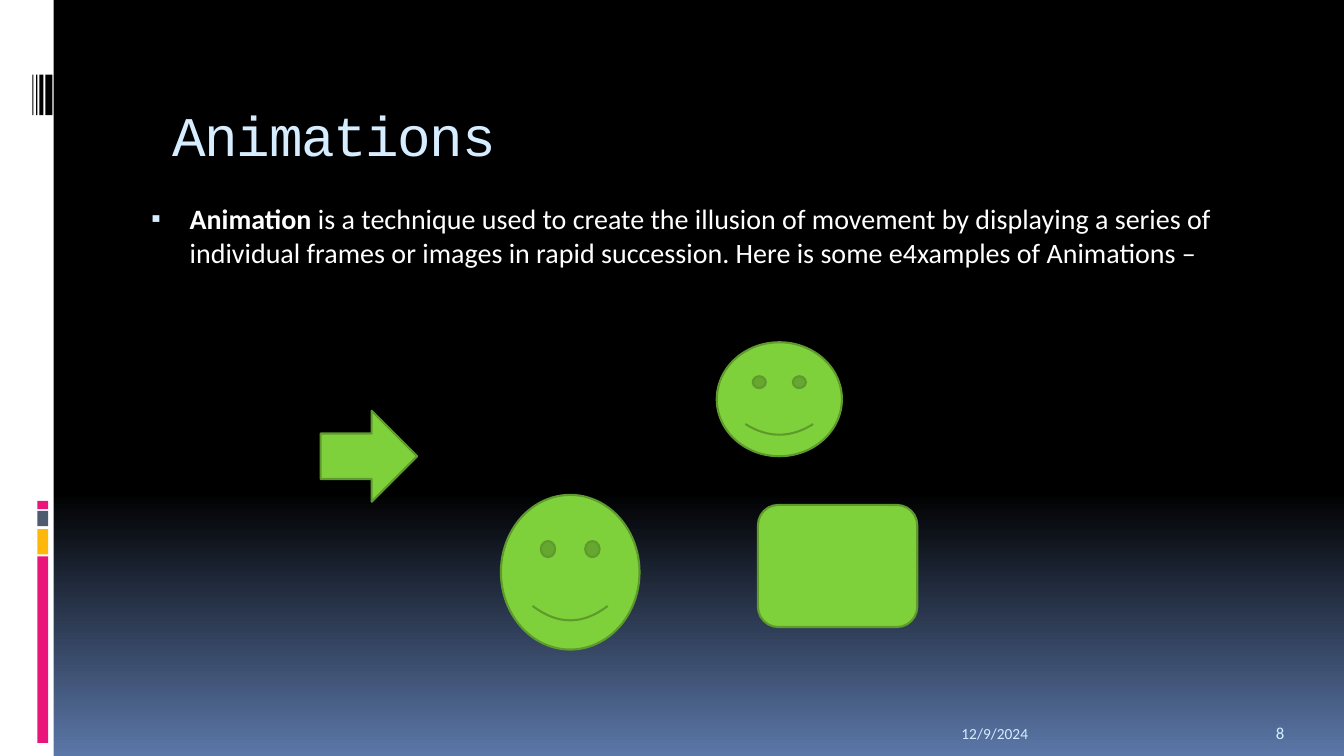
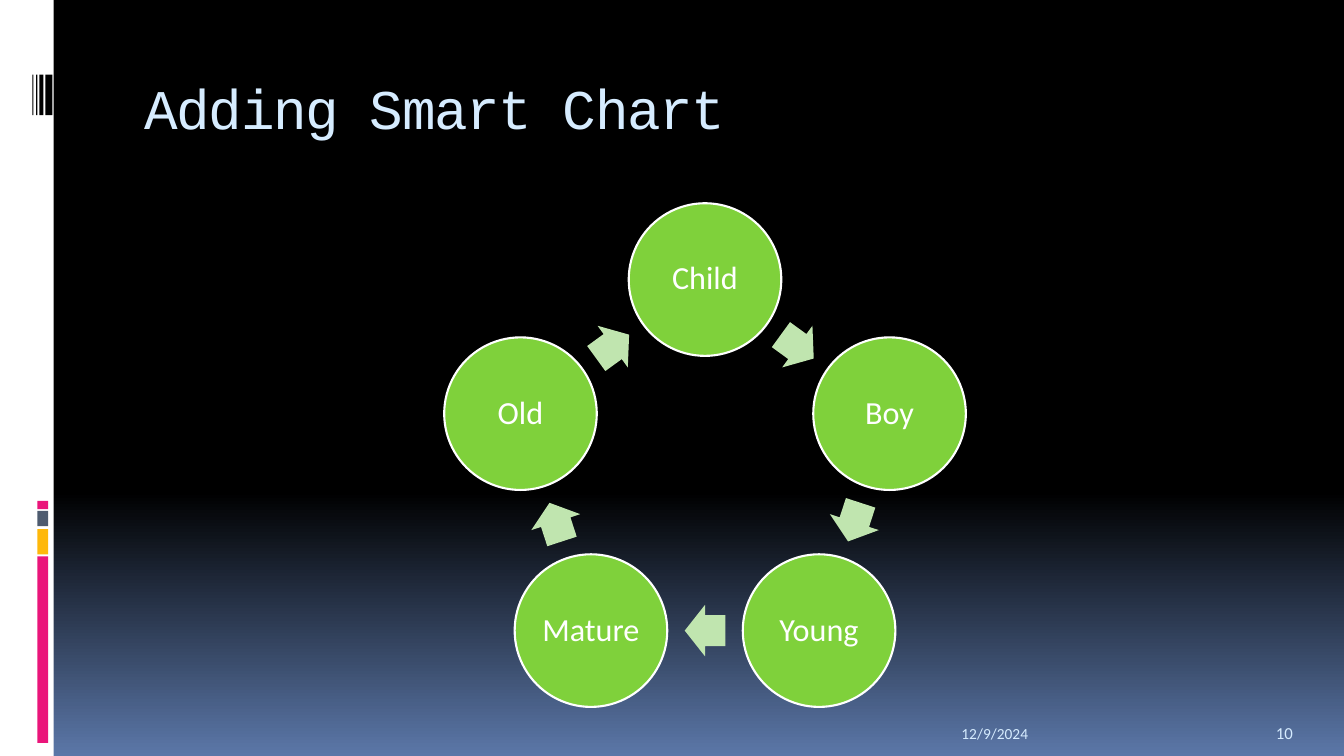
from copy import deepcopy
from math import cos, pi, sin

from pptx import Presentation
from pptx.dml.color import RGBColor
from pptx.enum.shapes import MSO_SHAPE as Shape
from pptx.enum.text import MSO_ANCHOR as Anchor, PP_ALIGN as Align
from pptx.oxml.ns import qn
from pptx.util import Pt

BLACK = RGBColor(0x00, 0x00, 0x00)
WHITE = RGBColor(0xFF, 0xFF, 0xFF)
BLUE = RGBColor(0x5B, 0x77, 0xA8)
PALE_BLUE = RGBColor(0xD6, 0xEC, 0xFF)
PINK = RGBColor(0xEA, 0x15, 0x7A)
AMBER = RGBColor(0xFE, 0xB8, 0x0A)
SLATE = RGBColor(0x4E, 0x5B, 0x6F)
GREEN = RGBColor(0x7F, 0xD1, 0x3B)
DARK_GREEN = RGBColor(0x5E, 0x9B, 0x2C)
LIGHT_GREEN = RGBColor(0xC0, 0xE5, 0xAF)

TITLE_FONT = "Courier New"
BODY_FONT = "Calibri"
DATE = "12/9/2024"

BACKGROUND_STOPS = [(0, BLACK), (0.65, BLACK), (1, BLUE)]
SIDE_BARS = [(397.4, 133.2, PINK), (378, 18, AMBER), (365, 10.8, SLATE), (357.8, 5.8, PINK)]
BARCODE = [(32.4, 5), (28.1, 2.9), (25.9, 0.8), (23.2, 0.8)]

INTRODUCTION = [
    ("Animation ", True),
    ("is a technique used to create the illusion of movement by displaying a series of "
     "individual frames or images in rapid succession. "
     "Here is some e4xamples of Animations –", False),
]
ANIMATED_SHAPES = [
    (Shape.RIGHT_ARROW, (229, 293.4, 69, 65)),
    (Shape.SMILEY_FACE, (512, 244.5, 89.4, 81.4)),
    (Shape.ROUNDED_RECTANGLE, (541.4, 360.7, 113.8, 87.2)),
    (Shape.SMILEY_FACE, (357.8, 353.5, 99, 110.5)),
]

STAGES = ["Child", "Boy", "Young", "Mature", "Old"]
CYCLE_CENTER = (503.6, 338.3)
CYCLE_RADIUS = 138.6
CIRCLE_SIZE = 109
ARROW_SIZE = (29, 36.8)


def add_figure(slide, kind, box, fill, line=None):
    shape = slide.shapes.add_shape(kind, *map(Pt, box))
    shape.shadow.inherit = False
    shape.fill.solid()
    shape.fill.fore_color.rgb = fill
    if line is None:
        shape.line.fill.background()
    else:
        shape.line.color.rgb = line
        shape.line.width = Pt(1.5)
    return shape


def format_run(run, size, color, name=BODY_FONT, bold=False):
    run.font.size = Pt(size)
    run.font.name = name
    run.font.bold = bold
    run.font.color.rgb = color


def add_text_box(slide, box, anchor):
    text_frame = slide.shapes.add_textbox(*map(Pt, box)).text_frame
    text_frame.word_wrap = True
    text_frame.vertical_anchor = anchor
    return text_frame


def set_background(master):
    fill = master.background.fill
    fill.gradient()
    fill.gradient_angle = 270
    stop_list = next(master.element.iter(qn("a:gsLst")))
    stop_list.append(deepcopy(stop_list[0]))
    for stop, (position, color) in zip(fill.gradient_stops, BACKGROUND_STOPS):
        stop.position = position
        stop.color.rgb = color


def add_slide(presentation, title, left, top, number):
    slide = presentation.slides.add_slide(presentation.slide_layouts[5])
    add_figure(slide, Shape.RECTANGLE, (0, 0, 38.4, 540), WHITE)
    for bar_top, height, color in SIDE_BARS:
        add_figure(slide, Shape.RECTANGLE, (26.8, bar_top, 7.7, height), color)
    for stripe_left, width in BARCODE:
        add_figure(slide, Shape.RECTANGLE, (stripe_left, 53.4, width, 28.8), BLACK)

    heading = slide.shapes.title
    heading.left, heading.top, heading.width, heading.height = map(Pt, (left, top, 816, 72))
    heading.text_frame.text = title
    heading.text_frame.vertical_anchor = Anchor.MIDDLE
    paragraph = heading.text_frame.paragraphs[0]
    paragraph.alignment = Align.LEFT
    format_run(paragraph.runs[0], 40, PALE_BLUE, TITLE_FONT)
    paragraph.runs[0].font._element.set("spc", "-100")

    for text, footer_left, width, size in [(DATE, 679.7, 224, 11), (number, 904.3, 48, 12)]:
        text_frame = add_text_box(slide, (footer_left, 505.4, width, 28.8), Anchor.BOTTOM)
        text_frame.text = text
        format_run(text_frame.paragraphs[0].runs[0], size, PALE_BLUE)
    return slide


def add_bullet(paragraph):
    properties = paragraph._p.get_or_add_pPr()
    properties.set("marL", str(Pt(32.4)))
    properties.set("indent", str(Pt(-27.4)))
    color = properties.makeelement(qn("a:buClr"), {})
    color.append(color.makeelement(qn("a:srgbClr"), {"val": str(PALE_BLUE)}))
    properties.append(color)
    for tag, name, value in [("a:buSzPct", "val", "95000"),
                             ("a:buFont", "typeface", BODY_FONT),
                             ("a:buChar", "char", "▪")]:
        properties.append(properties.makeelement(qn(tag), {name: value}))


def build_animations(presentation):
    slide = add_slide(presentation, "Animations", 116, 59.8, "8")
    text_frame = add_text_box(slide, (96, 140.4, 816, 360), Anchor.TOP)
    paragraph = text_frame.paragraphs[0]
    paragraph.space_before = Pt(7)
    add_bullet(paragraph)
    for text, bold in INTRODUCTION:
        run = paragraph.add_run()
        run.text = text
        format_run(run, 20, WHITE, bold=bold)
    for kind, box in ANIMATED_SHAPES:
        add_figure(slide, kind, box, GREEN, DARK_GREEN)


def cycle_box(angle, radius, width, height):
    center_x, center_y = CYCLE_CENTER
    return (center_x + radius * sin(angle) - width / 2,
            center_y - radius * cos(angle) - height / 2, width, height)


def build_cycle(presentation):
    slide = add_slide(presentation, "Adding Smart Chart", 96, 40.3, "10")
    step = 2 * pi / len(STAGES)
    arrow_radius = CYCLE_RADIUS * cos(step / 2)
    for index, stage in enumerate(STAGES):
        circle_box = cycle_box(index * step, CYCLE_RADIUS, CIRCLE_SIZE, CIRCLE_SIZE)
        circle = add_figure(slide, Shape.OVAL, circle_box, GREEN, WHITE)
        text_frame = circle.text_frame
        text_frame.margin_left = text_frame.margin_right = Pt(2)
        text_frame.margin_top = text_frame.margin_bottom = Pt(2)
        text_frame.vertical_anchor = Anchor.MIDDLE
        text_frame.text = stage
        paragraph = text_frame.paragraphs[0]
        paragraph.alignment = Align.CENTER
        paragraph.line_spacing = 0.9
        format_run(paragraph.runs[0], 23, WHITE)

        arrow_box = cycle_box((index + 0.5) * step, arrow_radius, *ARROW_SIZE)
        arrow = add_figure(slide, Shape.RIGHT_ARROW, arrow_box, LIGHT_GREEN)
        arrow.adjustments[0] = 0.6
        arrow.adjustments[1] = 0.5
        arrow.rotation = (index + 0.5) * 360 / len(STAGES)


def main():
    presentation = Presentation()
    presentation.slide_width = Pt(960)
    presentation.slide_height = Pt(540)
    set_background(presentation.slide_master)
    build_animations(presentation)
    build_cycle(presentation)
    presentation.save("out.pptx")


if __name__ == "__main__":
    main()
